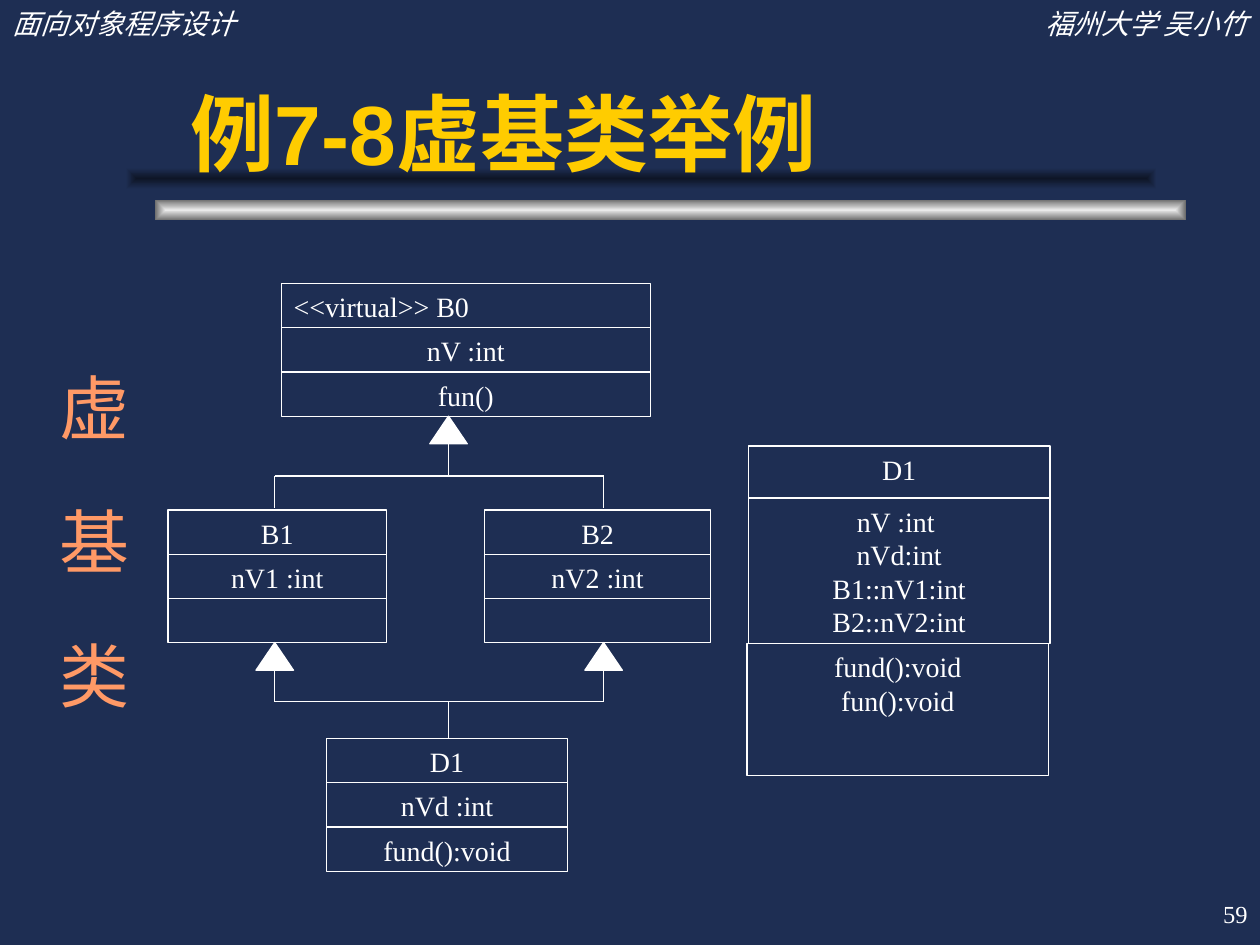
from dataclasses import dataclass

from lxml.etree import SubElement
from pptx import Presentation
from pptx.dml.color import RGBColor
from pptx.enum.shapes import MSO_CONNECTOR, MSO_SHAPE
from pptx.enum.text import MSO_ANCHOR, PP_ALIGN
from pptx.oxml import parse_xml
from pptx.oxml.ns import nsdecls, qn
from pptx.util import Pt

NAVY, WHITE, GOLD, ORANGE = "1E2E53", "FFFFFF", "FFCC00", "FF9966"
SERIF, SANS = "Times New Roman", "Arial"
ROW_H = 25.3
LINE_W = 0.75


@dataclass
class Style:
    size: float = 16
    color: str = WHITE
    font: str = SERIF
    align: PP_ALIGN = PP_ALIGN.CENTER
    bold: bool = False
    italic: bool = False
    spacing: float | None = None


@dataclass
class Row:
    text: str
    height: float = ROW_H
    dx: float = 0
    align: PP_ALIGN = PP_ALIGN.CENTER


@dataclass
class ClassBox:
    x: float
    y: float
    width: float
    rows: list[Row]


def rgb(value: str) -> RGBColor:
    return RGBColor.from_string(value)


def write(tf, text: str, style: Style, anchor=MSO_ANCHOR.TOP) -> None:
    tf.word_wrap = True
    tf.vertical_anchor = anchor
    for i, line in enumerate(text.split("\n")):
        p = tf.paragraphs[0] if i == 0 else tf.add_paragraph()
        p.alignment = style.align
        if style.spacing:
            p.line_spacing = Pt(style.spacing)
        p.add_run().text = line
        p.font.size, p.font.name = Pt(style.size), style.font
        p.font.bold, p.font.italic = style.bold, style.italic
        p.font.color.rgb = rgb(style.color)


def add_text(s, x: float, y: float, w: float, h: float, text: str,
             style: Style, anchor=MSO_ANCHOR.TOP) -> None:
    sp = s.shapes.add_textbox(Pt(x), Pt(y), Pt(w), Pt(h))
    write(sp.text_frame, text, style, anchor)


def add_bar(s, x: float, y: float, center: str, edge: str) -> None:
    sp = s.shapes.add_shape(MSO_SHAPE.RECTANGLE, Pt(x), Pt(y), Pt(589), Pt(12))
    sp.shadow.inherit = False
    sp.line.fill.background()
    sp.fill.gradient()
    for stop, position, color in zip(sp.fill.gradient_stops, (0, 1), (center, edge)):
        stop.position, stop.color.rgb = position, rgb(color)
    # Shade outwards from the middle of the rectangle
    lin = sp.element.spPr.find(qn("a:gradFill")).find(qn("a:lin"))
    lin.getparent().replace(lin, parse_xml(
        f'<a:path {nsdecls("a")} path="rect">'
        '<a:fillToRect l="50000" t="50000" r="50000" b="50000"/></a:path>'))


def add_class(s, box: ClassBox) -> None:
    y = box.y
    for row in box.rows:
        sp = s.shapes.add_shape(MSO_SHAPE.RECTANGLE, Pt(box.x + row.dx), Pt(y),
                                Pt(box.width), Pt(row.height))
        sp.shadow.inherit = False
        sp.fill.background()
        sp.line.color.rgb, sp.line.width = rgb(WHITE), Pt(LINE_W)
        if row.text:
            write(sp.text_frame, row.text, Style(align=row.align))
        y += row.height


def add_triangle(s, cx: float, y: float) -> None:
    sp = s.shapes.add_shape(MSO_SHAPE.ISOSCELES_TRIANGLE, Pt(cx - 10.7), Pt(y),
                            Pt(21.4), Pt(15.8))
    sp.shadow.inherit = False
    sp.fill.solid()
    sp.fill.fore_color.rgb = rgb(WHITE)
    sp.line.color.rgb, sp.line.width = rgb(WHITE), Pt(LINE_W)


def add_line(s, x1: float, y1: float, x2: float, y2: float) -> None:
    line = s.shapes.add_connector(MSO_CONNECTOR.STRAIGHT, Pt(x1), Pt(y1), Pt(x2), Pt(y2))
    line.line.color.rgb, line.line.width = rgb(WHITE), Pt(LINE_W)
    SubElement(line.element.spPr, qn("a:effectLst"))


LEFT_X, MID_X, RIGHT_X = 157, 256.3, 344.9

CLASSES = [
    ClassBox(427.7, 254.8, 172.3, [
        Row("D1", 29.8),
        Row("nV :int \nnVd:int\nB1::nV1:int\nB2::nV2:int", 83),
        Row("fund():void\nfun():void", 75.5, dx=-0.8)]),
    ClassBox(96, 291.4, 124.8, [Row("B1"), Row("nV1 :int"), Row("")]),
    ClassBox(277, 291.4, 129, [Row("B2"), Row("nV2 :int"), Row("")]),
    ClassBox(186.6, 422, 137.7, [Row("D1"), Row("nVd :int"), Row("fund():void")]),
    ClassBox(160.7, 162, 211, [
        Row("<<virtual>> B0", align=PP_ALIGN.JUSTIFY), Row("nV :int"), Row("fun()")]),
]

TRIANGLES = [(LEFT_X, 367.2), (RIGHT_X, 367.2), (MID_X, 237.8)]

LINES = [
    # B1 and B2 down to D1
    (LEFT_X, 383, LEFT_X, 401), (RIGHT_X, 383, RIGHT_X, 401),
    (LEFT_X, 401, RIGHT_X, 401), (MID_X, 422, MID_X, 401),
    # B0 down to B1 and B2
    (MID_X, 253.6, MID_X, 272), (LEFT_X, 272, RIGHT_X, 272),
    (LEFT_X, 272, LEFT_X, 290.3), (RIGHT_X, 272, RIGHT_X, 290.3),
]


def main() -> None:
    prs = Presentation()
    prs.slide_width, prs.slide_height = Pt(720), Pt(540)
    s = prs.slides.add_slide(prs.slide_layouts[6])
    s.background.fill.solid()
    s.background.fill.fore_color.rgb = rgb(NAVY)

    # Rule under the title, with its shadow
    add_bar(s, 88.6, 114, "EAEAEA", "6C6C6C")
    add_bar(s, 72, 96, "0E1526", NAVY)

    # Header, page number, title
    add_text(s, 0, 0, 222, 26.6, "面向对象程序设计",
             Style(align=PP_ALIGN.LEFT, italic=True))
    add_text(s, 498, 0, 222, 26.6, "福州大学 吴小竹",
             Style(align=PP_ALIGN.RIGHT, italic=True))
    add_text(s, 570, 504, 150, 36, "59",
             Style(14, align=PP_ALIGN.RIGHT), MSO_ANCHOR.MIDDLE)
    add_text(s, 102, 18, 564, 90, "例7-8虚基类举例",
             Style(48, GOLD, SANS, PP_ALIGN.LEFT, bold=True), MSO_ANCHOR.BOTTOM)

    # Side heading, one character per line
    add_text(s, 22.7, 176, 62, 240, "虚\n基\n类", Style(40, ORANGE, spacing=76.6))

    # Class diagram
    for box in CLASSES:
        add_class(s, box)
    for cx, y in TRIANGLES:
        add_triangle(s, cx, y)
    for ends in LINES:
        add_line(s, *ends)

    prs.save("out.pptx")


if __name__ == "__main__":
    main()
